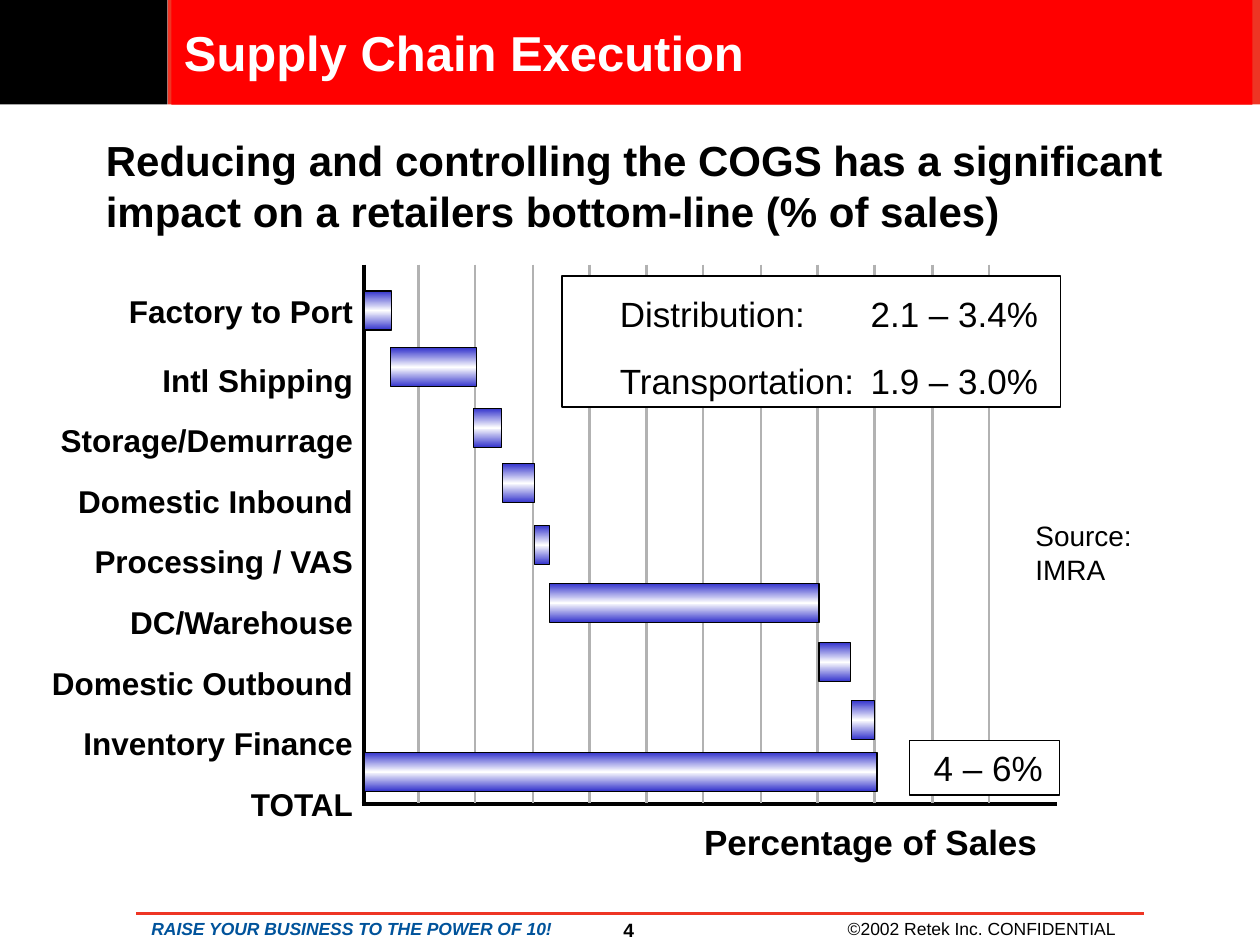
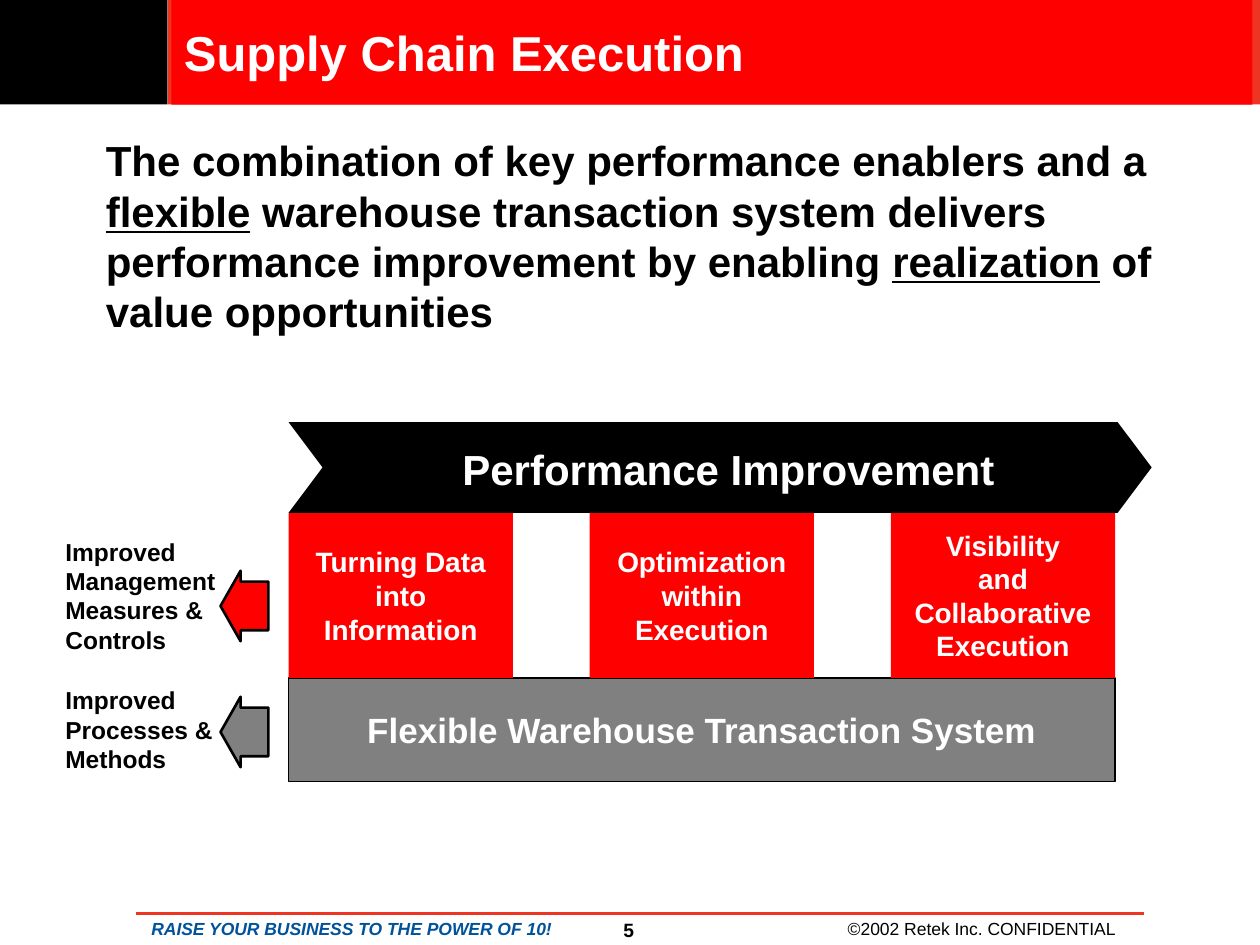
from copy import deepcopy

from lxml import etree
from pptx import Presentation
from pptx.dml.color import RGBColor
from pptx.enum.shapes import MSO_CONNECTOR, MSO_SHAPE
from pptx.enum.text import MSO_ANCHOR, MSO_AUTO_SIZE, PP_ALIGN
from pptx.oxml.ns import qn
from pptx.util import Emu, Pt

PX = 9144
FONT = "Arial"
TITLE_ONLY = 5

BLACK = RGBColor(0x00, 0x00, 0x00)
WHITE = RGBColor(0xFF, 0xFF, 0xFF)
RED = RGBColor(0xFF, 0x00, 0x00)
BAND_RED = RGBColor(0xEE, 0x35, 0x24)
SLOGAN_BLUE = RGBColor(0x00, 0x53, 0x9B)
BAR_BLUE = RGBColor(0x33, 0x33, 0xCC)
GRID_GRAY = RGBColor(0xB2, 0xB2, 0xB2)
BASE_GRAY = RGBColor(0x80, 0x80, 0x80)

RECTANGLE = MSO_SHAPE.RECTANGLE
LEFT_ARROW = MSO_SHAPE.LEFT_ARROW
STRAIGHT = MSO_CONNECTOR.STRAIGHT
NO_AUTOFIT = MSO_AUTO_SIZE.NONE
TOP, MIDDLE = MSO_ANCHOR.TOP, MSO_ANCHOR.MIDDLE
LEFT, CENTER, RIGHT = PP_ALIGN.LEFT, PP_ALIGN.CENTER, PP_ALIGN.RIGHT

STEPS = [
    ("Factory to Port", 289, 231, 22),
    ("Intl Shipping", 310, 276, 68),
    ("Storage/Demurrage", 376, 324, 22),
    ("Domestic Inbound", 399, 368, 25),
    ("Processing / VAS", 424, 417, 12),
    ("DC/Warehouse", 436, 463, 214),
    ("Domestic Outbound", 650, 510, 25),
    ("Inventory Finance", 676, 556, 18),
    ("TOTAL", 289, 597, 407),
]
BAR_HEIGHT = 31
GRID_LINES = 11

ENABLERS = [
    ["Turning Data into Information"],
    ["Optimization within Execution"],
    ["Visibility", "and Collaborative Execution"],
]


def px(*lengths):
    return [Emu(length * PX) for length in lengths]


def set_values(target, values):
    for name, value in values.items():
        setattr(target, name, value)


def fill_frame(frame, paras, size, color=BLACK, align=LEFT, anchor=TOP,
               margins=(10, 5, 10, 5), wrap=True, gap=0, line_spacing=None, **font):
    left, top, right, bottom = px(*margins)
    set_values(frame, {
        "auto_size": NO_AUTOFIT, "word_wrap": wrap, "vertical_anchor": anchor,
        "margin_left": left, "margin_top": top,
        "margin_right": right, "margin_bottom": bottom,
    })
    for index, spans in enumerate(paras):
        para = frame.add_paragraph() if index else frame.paragraphs[0]
        set_values(para, {
            "alignment": align, "line_spacing": line_spacing,
            "space_before": Pt(gap if index else 0),
        })
        for item in [spans] if isinstance(spans, str) else spans:
            text, extra = (item, {}) if isinstance(item, str) else item
            span = para.add_run()
            span.text = text
            set_values(span.font, {"name": FONT, "size": Pt(size), **font, **extra})
            span.font.color.rgb = color


def add_text(slide, at, paras, size, **formats):
    box = slide.shapes.add_textbox(*px(*at))
    fill_frame(box.text_frame, paras, size, **formats)
    return box


def paint(shape, fill, line=None, width=0.75):
    shape.shadow.inherit = False
    shape.fill.solid()
    shape.fill.fore_color.rgb = fill
    if line is None:
        shape.line.fill.background()
    else:
        shape.line.color.rgb = line
        shape.line.width = Pt(width)


def add_block(slide, at, fill, line=None, width=0.75, kind=RECTANGLE):
    block = slide.shapes.add_shape(kind, *px(*at))
    paint(block, fill, line, width)
    return block


def add_line(slide, ends, color, width):
    line = slide.shapes.add_connector(STRAIGHT, *px(*ends))
    line.line.color.rgb = color
    line.line.width = Pt(width)
    etree.SubElement(line._element.spPr, qn("a:effectLst"))


def add_bar(slide, at):
    bar = add_block(slide, at, BAR_BLUE, BLACK)
    bar.fill.gradient()
    bar.fill.gradient_angle = 90
    stop_list = bar._element.spPr.find(".//" + qn("a:gsLst"))
    stop_list.insert(1, deepcopy(stop_list[0]))
    colors = (BAR_BLUE, WHITE, BAR_BLUE)
    for stop, position, color in zip(bar.fill.gradient_stops, (0, 0.5, 1), colors):
        stop.position = position
        stop.color.rgb = color


def add_tab(para, position):
    tabs = etree.SubElement(para._p.get_or_add_pPr(), qn("a:tabLst"))
    etree.SubElement(tabs, qn("a:tab"), pos=str(position * PX), algn="l")


def add_base_slide(deck, number, headline):
    slide = deck.slides.add_slide(deck.slide_layouts[TITLE_ONLY])
    add_block(slide, (133, 0, 867, 83), BAND_RED)
    add_block(slide, (0, 0, 133, 83), BLACK)
    add_line(slide, (108, 725, 908, 725), BAND_RED, 1.5)
    footer = {"align": CENTER, "anchor": MIDDLE, "wrap": False}
    add_text(slide, (175, 726, 208, 22), ["RAISE YOUR BUSINESS TO THE POWER OF 10!"], 10,
             color=SLOGAN_BLUE, bold=True, italic=True, **footer)
    add_text(slide, (675, 726, 208, 22), ["©2002 Retek Inc. CONFIDENTIAL"], 10, **footer)
    add_text(slide, (428, 724, 142, 29), [str(number)], 11, align=CENTER, bold=True)

    title = slide.shapes.title
    slide.shapes._spTree.append(title._element)
    left, top, width, height = px(136, 0, 858, 83)
    set_values(title, {"left": left, "top": top, "width": width, "height": height})
    title.fill.solid()
    title.fill.fore_color.rgb = RED
    fill_frame(title.text_frame, ["Supply Chain Execution"], 28,
               color=WHITE, anchor=MIDDLE, bold=True)
    add_text(slide, (75, 102, 879, 169), [headline], 24,
             margins=(9, 5, 9, 5), bold=True)
    return slide


def build_cost_slide(deck):
    slide = add_base_slide(
        deck, 4, "Reducing and controlling the COGS has a significant "
                 "impact on a retailers bottom-line (% of sales)")
    add_line(slide, (289, 210, 289, 638), BLACK, 2.5)
    add_line(slide, (287, 638, 839, 638), BLACK, 2.5)
    for index in range(GRID_LINES):
        x = round(332 + 45.3 * index)
        add_line(slide, (x, 210, x, 637), GRID_GRAY, 1.5)

    labels = add_text(slide, (31, 227, 259, 424), [step[0] for step in STEPS], 18,
                      align=RIGHT, gap=13, bold=True)
    labels.text_frame.paragraphs[1].space_before = Pt(17.6)
    for _, left, top, width in STEPS:
        add_bar(slide, (left, top, width, BAR_HEIGHT))

    ranges = add_block(slide, (446, 219, 396, 104), WHITE, BLACK)
    fill_frame(ranges.text_frame,
               ["Distribution:\t2.1 – 3.4%", "Transportation:\t1.9 – 3.0%"], 20,
               margins=(46, 8, 10, 5), gap=11, line_spacing=1.15)
    for para in ranges.text_frame.paragraphs:
        add_tab(para, 199)

    total = add_block(slide, (722, 588, 119, 43), WHITE, BLACK)
    fill_frame(total.text_frame, ["4 – 6%"], 20, anchor=MIDDLE, margins=(19, 0, 0, 0))
    add_text(slide, (549, 646, 284, 44), ["Percentage of Sales"], 20, wrap=False, bold=True)
    add_text(slide, (812, 407, 96, 64), ["Source:", "IMRA"], 16, wrap=False)


def add_outcome(slide, text_top, lines, arrow_top, color):
    add_text(slide, (42, text_top, 148, 104), lines, 14, bold=True)
    arrow = add_block(slide, (175, arrow_top, 38, 56), color, BLACK, 1.5, LEFT_ARROW)
    arrow.adjustments[0] = 0.69
    arrow.adjustments[1] = 0.42


def build_enabler_slide(deck):
    underlined = {"underline": True}
    slide = add_base_slide(deck, 5, [
        "The combination of key performance enablers and a ",
        ("flexible", underlined),
        " warehouse transaction system delivers performance improvement by enabling ",
        ("realization", underlined),
        " of value opportunities",
    ])
    label = {"color": WHITE, "align": CENTER, "anchor": MIDDLE, "bold": True}

    base = add_block(slide, (229, 538, 656, 82), BASE_GRAY, BLACK)
    fill_frame(base.text_frame, ["Flexible Warehouse Transaction System"], 20, **label)
    for index, lines in enumerate(ENABLERS):
        pillar = add_block(slide, (229 + 239 * index, 407, 178, 131), RED)
        fill_frame(pillar.text_frame, lines, 16, margins=(17, 5, 17, 5), **label)

    outline = slide.shapes.build_freeform(229, 335, scale=PX)
    outline.add_line_segments(
        [(887, 335), (914, 371), (887, 407), (229, 407), (256, 371)], close=True)
    chevron = outline.convert_to_shape()
    paint(chevron, BLACK)
    fill_frame(chevron.text_frame, ["Performance Improvement"], 24,
               margins=(23, 7, 10, 5), **label)

    add_outcome(slide, 421, ["Improved", "Management", "Measures & Controls"], 453, RED)
    add_outcome(slide, 539, ["Improved Processes & Methods"], 553, BASE_GRAY)


def main():
    deck = Presentation()
    deck.slide_width, deck.slide_height = px(1000, 750)
    build_cost_slide(deck)
    build_enabler_slide(deck)
    deck.save("out.pptx")


if __name__ == "__main__":
    main()
